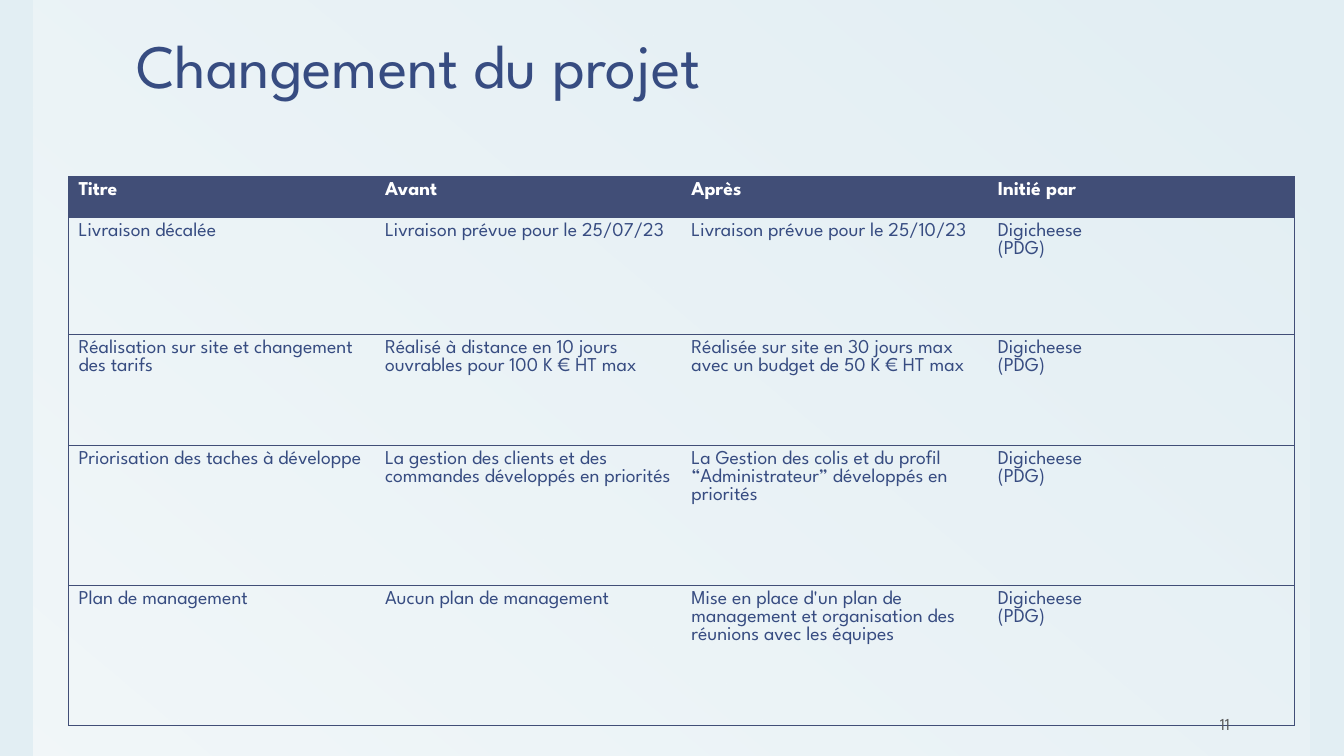
"""Build the slide that lists the changes made to the project."""
import lxml.etree
import pptx
import pptx.dml.color
import pptx.enum.shapes
import pptx.enum.text
import pptx.oxml.ns
import pptx.util

SLIDE_WIDTH = pptx.util.Inches(13.33)
SLIDE_HEIGHT = pptx.util.Inches(7.5)
FONT = "League Spartan"
BACKGROUND = pptx.dml.color.RGBColor(0xE2, 0xEE, 0xF3)
WHITE = pptx.dml.color.RGBColor(0xFF, 0xFF, 0xFF)
NAVY = pptx.dml.color.RGBColor(0x41, 0x4E, 0x77)
BLUE = pptx.dml.color.RGBColor(0x37, 0x4C, 0x81)
GREY = pptx.dml.color.RGBColor(0x59, 0x59, 0x59)

COLUMN_SHARE = 22.8
ROW_SHARES = [5.47, 15.47, 14.67, 18.53, 18.53]
INITIATOR = "Digicheese\n(PDG)"
ROWS = [
    ["Titre", "Avant", "Après", "Initié par"],
    ["Livraison décalée", "Livraison prévue pour le 25/07/23",
     "Livraison prévue pour le 25/10/23", INITIATOR],
    ["Réalisation sur site et changement des tarifs",
     "Réalisé à distance en 10 jours ouvrables pour 100 K € HT max",
     "Réalisée sur site en 30 jours max avec un budget de 50 K € HT max", INITIATOR],
    ["Priorisation des taches à développe",
     "La gestion des clients et des commandes développés en priorités",
     "La Gestion des colis et du profil “Administrateur” développés en priorités",
     INITIATOR],
    ["Plan de management", "Aucun plan de management",
     "Mise en place d'un plan de management et organisation des réunions avec les équipes",
     INITIATOR],
]


def across(percent):
    """Return a share of the slide's width."""
    return int(SLIDE_WIDTH * percent / 100)


def down(percent):
    """Return a share of the slide's height."""
    return int(SLIDE_HEIGHT * percent / 100)


def place(left, top, width, height):
    """Turn shares of the slide into a position and a size."""
    return across(left), down(top), across(width), down(height)


def style_paragraph(paragraph, size, color, bold=False):
    """Set the font of a whole paragraph."""
    paragraph.font.name = FONT
    paragraph.font.size = pptx.util.Pt(size)
    paragraph.font.color.rgb = color
    paragraph.font.bold = bold


def add_panel(slide, area):
    """Add the white panel that fades towards the upper right."""
    panel = slide.shapes.add_shape(pptx.enum.shapes.MSO_SHAPE.RECTANGLE, *area)
    panel.shadow.inherit = False
    panel.line.fill.background()
    panel.fill.gradient()
    panel.fill.gradient_angle = 230
    for stop, opacity in zip(panel.fill.gradient_stops, (0, 55)):
        stop.color.rgb = WHITE
        stop.position = 1 if opacity else 0
    colors = panel.fill._xPr.iter(pptx.oxml.ns.qn("a:srgbClr"))
    for color, opacity in zip(colors, (0, 55)):
        alpha = lxml.etree.SubElement(color, pptx.oxml.ns.qn("a:alpha"))
        alpha.set("val", str(opacity * 1000))


def add_label(slide, area, text, size, color, alignment, line_spacing=1.0):
    """Add a line of text that stands at the bottom of its box."""
    frame = slide.shapes.add_textbox(*area).text_frame
    frame.word_wrap = True
    frame.vertical_anchor = pptx.enum.text.MSO_ANCHOR.BOTTOM
    frame.margin_left = frame.margin_right = pptx.util.Inches(0.13)
    frame.margin_top = frame.margin_bottom = pptx.util.Inches(0.07)
    paragraph = frame.paragraphs[0]
    paragraph.text = text
    paragraph.alignment = alignment
    paragraph.line_spacing = line_spacing
    style_paragraph(paragraph, size, color)


def set_borders(cell, visible_sides):
    """Draw thin borders on the visible sides and clear the others."""
    properties = cell._tc.get_or_add_tcPr()
    for index, side in enumerate("LRTB"):
        line = lxml.etree.Element(pptx.oxml.ns.qn("a:ln" + side), w="6350")
        if side in visible_sides:
            fill = lxml.etree.SubElement(line, pptx.oxml.ns.qn("a:solidFill"))
            lxml.etree.SubElement(fill, pptx.oxml.ns.qn("a:srgbClr"), val=str(NAVY))
        else:
            lxml.etree.SubElement(line, pptx.oxml.ns.qn("a:noFill"))
        properties.insert(index, line)


def fill_cell(cell, text, is_header):
    """Write and style the content of one cell."""
    cell.text = text
    if is_header:
        cell.fill.solid()
        cell.fill.fore_color.rgb = NAVY
    else:
        cell.fill.background()
    for paragraph in cell.text_frame.paragraphs:
        style_paragraph(paragraph, 14, WHITE if is_header else BLUE, is_header)


def add_change_table(slide, left, top):
    """Add the table of changes."""
    last = len(ROWS[0]) - 1
    area = place(left, top, COLUMN_SHARE * len(ROWS[0]), sum(ROW_SHARES))
    table = slide.shapes.add_table(len(ROWS), len(ROWS[0]), *area).table
    table.horz_banding = False
    for column in table.columns:
        column.width = across(COLUMN_SHARE)
    for row_index, texts in enumerate(ROWS):
        table.rows[row_index].height = down(ROW_SHARES[row_index])
        for column_index, text in enumerate(texts):
            cell = table.cell(row_index, column_index)
            fill_cell(cell, text, row_index == 0)
            outer_sides = {0: "L", last: "R"}.get(column_index, "")
            set_borders(cell, "TB" + outer_sides)


def main():
    """Build and save the presentation."""
    presentation = pptx.Presentation()
    presentation.slide_width = SLIDE_WIDTH
    presentation.slide_height = SLIDE_HEIGHT
    slide = presentation.slides.add_slide(presentation.slide_layouts[6])
    slide.background.fill.solid()
    slide.background.fill.fore_color.rgb = BACKGROUND
    add_panel(slide, place(2.48, 0, 94.97, 100))
    add_label(slide, place(9.15, 1.07, 83.35, 13.2), "Changement du projet", 44, BLUE,
              pptx.enum.text.PP_ALIGN.LEFT, 0.85)
    add_change_table(slide, 5.1, 23.33)
    add_label(slide, place(83.42, 93.33, 9.08, 4.67), "11", 12, GREY,
              pptx.enum.text.PP_ALIGN.RIGHT)
    presentation.save("out.pptx")


if __name__ == "__main__":
    main()
